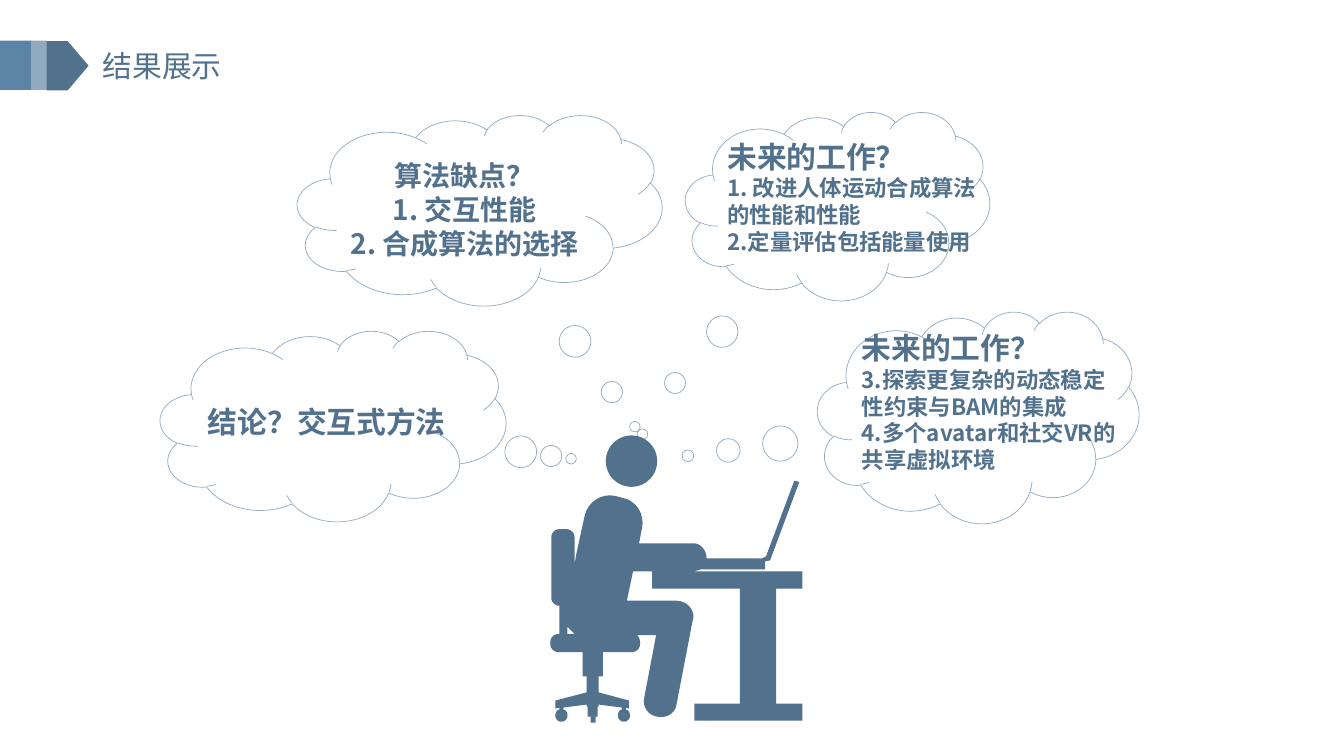
"""Build a results slide: a person at a desk with four thought clouds."""
from lxml.etree import SubElement
from pptx import Presentation
from pptx.dml.color import RGBColor
from pptx.enum.shapes import MSO_SHAPE
from pptx.enum.text import MSO_ANCHOR, PP_ALIGN
from pptx.oxml.ns import qn
from pptx.util import Pt

FONT = "Noto Sans CJK SC"
COLORS = {"dark": "51718D", "mid": "5B83A4", "light": "91AAC0", "edge": "91ACC2"}
TITLE = ("结果展示", (66.24, 30.24, 192.96, 33.12), 21.3)
TAGS = [
    (MSO_SHAPE.RECTANGLE, (0, 29, 22.3, 35.3), "mid"),
    (MSO_SHAPE.RECTANGLE, (22.3, 29, 11.2, 35.3), "light"),
    (MSO_SHAPE.PENTAGON, (33.3, 29.3, 30, 35.3), "dark"),
]
CLOUDS = [
    {"box": (489.6, 79.9, 217.4, 134.6), "tail": (-0.666, 1.171), "foot": 5.76,
     "lines": [("未来的工作？", 21.3), ("1. 改进人体运动合成算法", 16),
               ("的性能和性能", 16), ("2.定量评估包括能量使用", 16)]},
    {"box": (114.5, 236.2, 247, 136.1), "tail": (0.688, 0.172), "foot": 31.5,
     "lines": [("结论？交互式方法", 21.3)]},
    {"box": (583.9, 222.5, 229.7, 151.2), "tail": (-0.903, 0.182), "foot": 5.76,
     "lines": [("未来的工作？", 21.3), ("3.探索更复杂的动态稳定", 16),
               ("性约束与BAM的集成", 16), ("4.多个avatar和社交VR的", 16),
               ("共享虚拟环境", 16)]},
    {"box": (212.4, 82.1, 260.6, 136.1), "tail": (0.446, 1.176), "foot": 5.76,
     "center": True,
     "lines": [("算法缺点？", 20), ("1. 交互性能", 20), ("2. 合成算法的选择", 20)]},
]
# Two numbers make a line to a point; four make a rounded corner and its end.
HEAD = [
    (469.5, 329.4), (469.5, 311, 451.1, 311), (432.7, 311, 432.7, 329.4),
    (432.7, 347.8, 451.1, 347.8), (469.5, 347.8, 469.5, 329.4),
]
BASE = [
    (393.1, 460.1), (393.1, 465.8, 398.9, 465.8), (416.2, 465.8), (416.2, 483.1),
    (419, 483.1), (419, 494.6), (396.7, 500.4), (396.7, 506.2), (399.6, 505.4),
    (399.6, 506.9), (396.7, 506.9, 396.7, 511.2), (396.7, 515.5, 401, 515.5),
    (405.4, 515.5, 405.4, 511.2), (405.4, 506.9, 402.5, 506.9), (402.5, 505.4),
    (419, 503.3), (419, 504.7), (419.8, 504.7), (419.8, 511.9), (421.9, 511.9),
    (421.9, 516.2), (425.5, 516.2), (425.5, 511.9), (427, 511.9), (427, 504.7),
    (427.7, 504.7), (427.7, 503.3), (444.2, 505.4), (444.2, 506.9),
    (441.4, 506.9, 441.4, 511.2), (441.4, 515.5, 445.7, 515.5),
    (450, 515.5, 450, 511.2), (450, 506.9, 447.1, 506.9), (447.1, 505.4),
    (449.3, 506.2), (449.3, 500.4), (427.7, 494.6), (427.7, 483.1), (430.6, 483.1),
    (430.6, 465.8), (451.4, 465.8), (457.2, 465.8, 457.2, 460.1), (457.2, 458.6),
    (457.2, 455.5, 455, 453.6),
]
LEG = [
    (468.7, 453.6), (460.1, 499), (458, 510, 469.4, 511.9), (481, 514.5, 483.1, 504),
    (494.6, 444.2), (495.4, 440.6), (495.4, 429.1, 483.1, 429.1), (447.8, 429.1),
]
ARM = [
    (452.2, 408.2), (495.4, 408.2), (500.4, 406.8), (546.5, 406.8), (546.5, 401),
    (550.1, 400.3), (571, 344.2), (567.4, 343.4), (547.2, 397.4), (544.3, 398.9),
    (504.7, 398.9), (504.7, 388.1, 495.4, 388.1), (456.5, 388.1), (458.6, 377.3),
]
BACK = [
    (462.4, 359.3, 445, 355.7), (439.2, 354.2), (421.5, 350.5, 417.6, 368.6),
    (411.8, 395.3), (410.4, 403.2), (410.4, 383.8), (410.4, 378, 404.6, 378),
    (399.6, 378), (393.8, 378, 393.8, 383.8), (393.8, 427),
    (393.8, 432.7, 399.6, 432.7), (399.6, 452.9), (398.9, 452.9),
    (393.1, 452.9, 393.1, 458.6),
]
GAP = [(405.4, 447.8), (410.4, 452.9), (405.4, 452.9)]
DESK = [
    (528.5, 502.6), (496.1, 502.6), (496.1, 514.8), (573.1, 514.8), (573.1, 502.6),
    (554.4, 502.6), (554.4, 420.5), (573.1, 420.5), (573.1, 408.2), (465.8, 408.2),
    (465.8, 420.5), (528.5, 420.5),
]
FIGURE = [HEAD, BASE + LEG + ARM + BACK, GAP, DESK]


def tint(name):
    return RGBColor.from_string(COLORS[name])


def place(shape, box):
    shape.left, shape.top, shape.width, shape.height = map(Pt, box)


def style(par, size, bold):
    for run in par.runs:
        font = run.font
        font.name, font.size, font.bold = FONT, Pt(size), bold
        font.color.rgb = tint("dark")
        SubElement(font._element, qn("a:ea"), typeface=FONT)


def trace(steps, parts=8):
    points = []
    for step in steps:
        if len(step) == 2:
            points.append(step)
            continue
        start, bend, end = points[-1], step[:2], step[2:]
        for i in range(1, parts + 1):
            t = i / parts
            u = 1 - t
            points.append(tuple(
                a * (u**3 + 1.35 * u * u * t) + e * (t**3 + 1.35 * u * t * t)
                + b * 1.65 * u * t
                for a, b, e in zip(start, bend, end)))
    return [(Pt(x), Pt(y)) for x, y in points]


def add_title(slide):
    text, box, size = TITLE
    title = slide.shapes.title
    place(title, box)
    frame = title.text_frame
    frame.text = text
    frame.vertical_anchor = MSO_ANCHOR.MIDDLE
    frame.paragraphs[0].alignment = PP_ALIGN.JUSTIFY
    style(frame.paragraphs[0], size, False)


def add_tag(slide, kind, box, color):
    tag = slide.shapes.add_shape(kind, *map(Pt, box))
    tag.shadow.inherit = False
    tag.fill.solid()
    tag.fill.fore_color.rgb = tint(color)
    tag.line.fill.background()


def add_cloud(slide, data):
    cloud = slide.shapes.add_shape(MSO_SHAPE.CLOUD_CALLOUT, *map(Pt, data["box"]))
    cloud.shadow.inherit = False
    cloud.fill.background()
    cloud.line.color.rgb = tint("edge")
    cloud.line.width = Pt(0.5)
    for i, value in enumerate(data["tail"]):
        cloud.adjustments[i] = value
    center = data.get("center", False)
    frame = cloud.text_frame
    frame.text = "\n".join(text for text, size in data["lines"])
    frame.word_wrap = center
    frame.vertical_anchor = MSO_ANCHOR.BOTTOM
    frame.margin_left, frame.margin_top = 0, Pt(2.88)
    frame.margin_right, frame.margin_bottom = Pt(2.88), Pt(data["foot"])
    for par, (text, size) in zip(frame.paragraphs, data["lines"]):
        par.alignment = PP_ALIGN.CENTER if center else PP_ALIGN.LEFT
        style(par, size, True)


def add_figure(slide):
    first, *rest = map(trace, FIGURE)
    pen = slide.shapes.build_freeform(*first[0])
    pen.add_line_segments(first[1:])
    for points in rest:
        pen.move_to(*points[0])
        pen.add_line_segments(points[1:])
    figure = pen.convert_to_shape()
    figure.shadow.inherit = False
    figure.fill.solid()
    figure.fill.fore_color.rgb = tint("dark")
    figure.line.fill.background()


def main():
    deck = Presentation()
    deck.slide_width, deck.slide_height = Pt(960), Pt(540)
    slide = deck.slides.add_slide(deck.slide_layouts[5])
    add_title(slide)
    for tag in TAGS:
        add_tag(slide, *tag)
    for data in CLOUDS:
        add_cloud(slide, data)
    add_figure(slide)
    deck.save("out.pptx")


if __name__ == "__main__":
    main()
